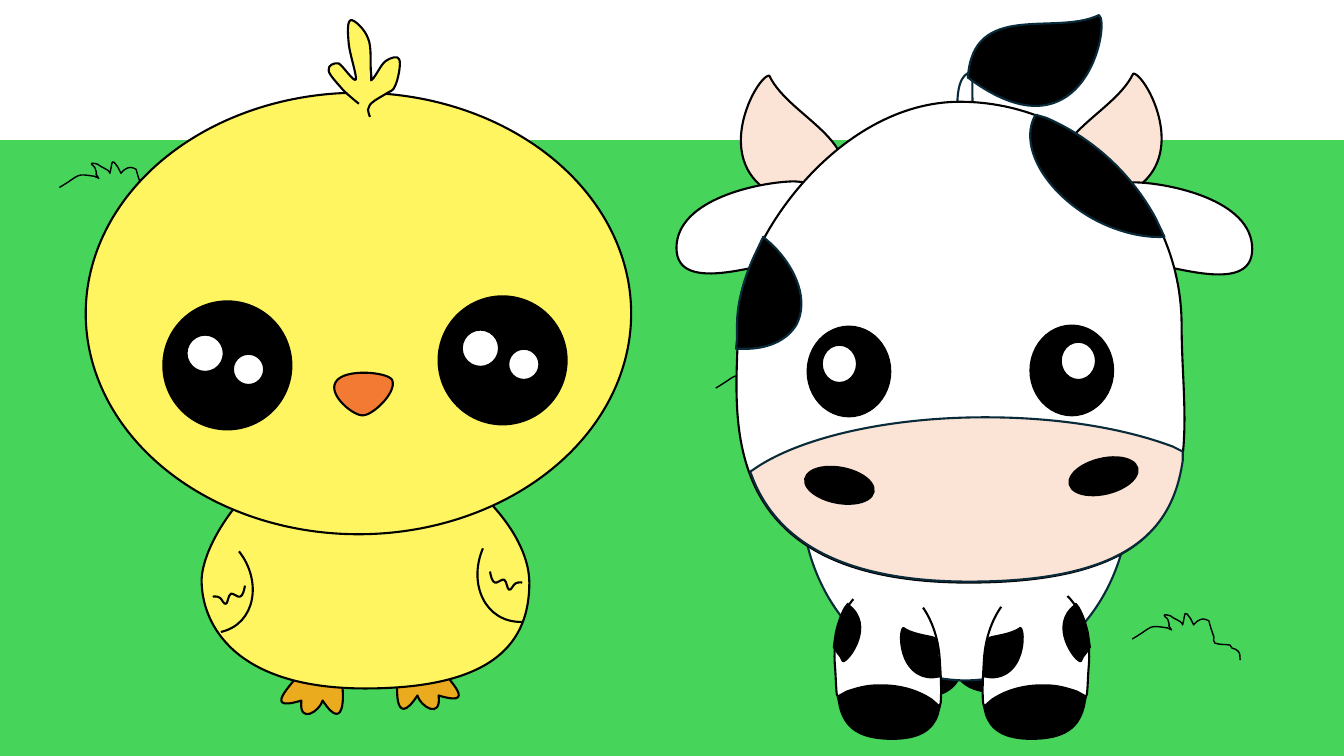
"""Draw a chick and a calf standing on a green meadow."""
from dataclasses import dataclass, replace
from typing import Optional, Union

from lxml import etree
from pptx import Presentation
from pptx.dml.color import RGBColor
from pptx.enum.shapes import MSO_SHAPE
from pptx.oxml.ns import qn
from pptx.util import Inches, Pt

OVAL, RECT = MSO_SHAPE.OVAL, MSO_SHAPE.RECTANGLE
BLACK = RGBColor(0x00, 0x00, 0x00)
WHITE = RGBColor(0xFF, 0xFF, 0xFF)
GRASS = RGBColor(0x47, 0xD4, 0x5A)
NAVY = RGBColor(0x09, 0x2A, 0x39)
PINK = RGBColor(0xFB, 0xE3, 0xD6)
YELLOW = RGBColor(0xFF, 0xF5, 0x61)
AMBER = RGBColor(0xEA, 0xAB, 0x1E)
ORANGE = RGBColor(0xF3, 0x7A, 0x33)
UNIT = Inches(0.01)
TAGS = {"M": "a:moveTo", "L": "a:lnTo", "C": "a:cubicBezTo"}
POINT_COUNT = {"M": 1, "L": 1, "C": 3}
STEPS = 24

Point = tuple[float, float]
Segment = tuple[str, list[Point]]


@dataclass(frozen=True)
class Outline:
    """A curved outline in inches, shifted by dx and dy or mirrored so that x becomes dx - x."""
    d: str
    fill: Optional[RGBColor] = None
    line: Optional[RGBColor] = BLACK
    weight: float = 1.5
    dx: float = 0
    dy: float = 0
    mirror: bool = False


@dataclass(frozen=True)
class Preset:
    """A preset shape in inches."""
    left: float
    top: float
    width: float
    height: float
    fill: RGBColor
    line: Optional[RGBColor] = BLACK
    weight: float = 1.5
    turn: float = 0
    kind: MSO_SHAPE = OVAL


Part = Union[Outline, Preset]


def mirrored(part: Outline, dx: float, dy: float = 0) -> Outline:
    """Return the outline mirrored left to right."""
    return replace(part, dx=dx, dy=dy, mirror=True)


def read_segments(part: Outline) -> list[Segment]:
    """Turn an outline into segments of points in hundredths of an inch."""
    segments, command, points = [], "", []
    for token in part.d.replace("Z", "").split():
        if token in TAGS:
            command = token
            continue
        x, y = map(float, token.split(","))
        x = part.dx - x if part.mirror else part.dx + x
        points.append((round(100 * x), round(100 * (y + part.dy))))
        if len(points) == POINT_COUNT[command]:
            segments.append((command, points))
            points = []
    return segments


def trace(segments: list[Segment]) -> list[Point]:
    """Sample points along the segments."""
    traced = []
    for command, points in segments:
        if command == "C":
            knots = [traced[-1], *points]
            for step in range(1, STEPS):
                t = step / STEPS
                weights = ((1 - t) ** 3, 3 * t * (1 - t) ** 2, 3 * t * t * (1 - t), t ** 3)
                traced.append(tuple(sum(w * k[axis] for w, k in zip(weights, knots)) for axis in (0, 1)))
        traced.append(points[-1])
    return traced


def add_outline(shapes, part: Outline):
    """Add a freeform with true curves."""
    segments = read_segments(part)
    closed = part.d.endswith("Z")
    start, *rest = trace(segments)
    builder = shapes.build_freeform(*start, scale=UNIT)
    builder.add_line_segments(rest, close=closed)
    shape = builder.convert_to_shape()
    left, top = round(shape.left / UNIT), round(shape.top / UNIT)
    geometry = shape.element.find(".//" + qn("a:path"))
    for child in list(geometry):
        geometry.remove(child)
    for command, points in segments:
        node = etree.SubElement(geometry, qn(TAGS[command]))
        for x, y in points:
            etree.SubElement(node, qn("a:pt"), x=str(x - left), y=str(y - top))
    if closed:
        etree.SubElement(geometry, qn("a:close"))
    return shape


def add_preset(shapes, part: Preset):
    """Add a preset shape."""
    shape = shapes.add_shape(part.kind, *map(Inches, (part.left, part.top, part.width, part.height)))
    shape.rotation = part.turn
    return shape


def draw(shapes, parts: list[Part]) -> None:
    """Draw the parts from back to front."""
    for part in parts:
        shape = add_outline(shapes, part) if isinstance(part, Outline) else add_preset(shapes, part)
        shape.shadow.inherit = False
        for paint, color in ((shape.fill, part.fill), (shape.line.fill, part.line)):
            if color is None:
                paint.background()
            else:
                paint.solid()
                paint.fore_color.rgb = color
        if part.line is not None:
            shape.line.width = Pt(part.weight)


TUFT = Outline(
    "M 11.23,6.34 C 11.45,6.21 11.38,6.2 11.58,6.23 11.59,6.24 11.61,6.24 11.62,6.25 11.55,6.14 11.63,6.28 11.58,6.14 "
    "11.57,6.13 11.54,6.11 11.55,6.1 11.56,6.09 11.59,6.11 11.61,6.11 11.63,6.13 11.68,6.15 11.71,6.17 "
    "11.72,6.18 11.73,6.19 11.73,6.2 11.76,6.08 11.74,6.04 11.81,6.14 11.82,6.16 11.83,6.18 11.84,6.2 "
    "11.85,6.19 11.86,6.17 11.88,6.16 11.93,6.13 11.95,6.14 11.99,6.16 12,6.18 12,6.21 12.01,6.23 "
    "12.02,6.26 12.03,6.29 12.04,6.32 12.04,6.34 12.03,6.37 12.05,6.38 12.1,6.4 12.15,6.39 12.2,6.4 "
    "12.21,6.41 12.21,6.42 12.22,6.43 12.24,6.44 12.27,6.44 12.28,6.46 12.3,6.48 12.3,6.52 12.3,6.55", weight=1)
MEADOW = [Preset(0, 1.39, 13.33, 6.11, GRASS, None, kind=RECT), TUFT,
          replace(TUFT, dx=-10.64, dy=-4.48), replace(TUFT, dx=-4.13, dy=-2.49)]

HOOF = Outline("M 8.69,6.8 C 8.59,6.8 8.49,6.83 8.4,6.86 L 8.31,6.91 8.33,7.01 C 8.38,7.21 8.51,7.33 8.85,7.33 "
               "9.12,7.33 9.25,7.24 9.3,7.09 L 9.32,7.01 9.24,6.94 C 9.09,6.84 8.9,6.79 8.69,6.8 Z", BLACK)
LEG = Outline("M 8.75,5.79 C 8.46,5.81 8.25,6.17 8.28,6.59 8.29,6.7 8.29,6.8 8.3,6.89 L 8.31,6.91 8.4,6.86 "
              "C 8.49,6.83 8.59,6.8 8.69,6.8 8.9,6.79 9.09,6.84 9.24,6.94 L 9.32,7.01 9.33,6.97 "
              "C 9.34,6.84 9.33,6.69 9.32,6.53 9.29,6.1 9.03,5.77 8.75,5.79 Z", WHITE)
LEG_SPOTS = [
    Outline("M 8.41,5.99 L 8.38,6.03 C 8.34,6.1 8.31,6.19 8.29,6.28 L 8.27,6.42 8.31,6.48 "
            "C 8.33,6.5 8.35,6.53 8.36,6.56 8.41,6.57 8.69,6.2 8.41,6 L 8.41,5.99 Z", BLACK),
    Outline("M 8.96,6.23 C 8.91,6.25 8.91,6.72 9.25,6.72 L 9.32,6.71 9.3,6.51 C 9.3,6.46 9.29,6.41 9.28,6.36 "
            "L 9.27,6.33 9.24,6.32 C 9.14,6.3 9.03,6.28 8.96,6.23 Z", BLACK)]
FRONT_LEG = [HOOF, LEG, *LEG_SPOTS]
HORN = Outline("M 8.26,2.06 C 6.81,2 7.49,0.74 7.63,0.75 7.84,1.19 8.7,1.42 8.26,2.06 Z", PINK)
EAR = Outline("M 6.71,2.46 C 6.71,1.97 7.54,1.81 7.85,1.8 8.17,1.79 8.61,2.07 8.61,2.4 "
              "8.61,2.73 8.24,2.56 7.93,2.57 7.61,2.58 6.71,2.95 6.71,2.46 Z", WHITE)
CALF = [
    Outline("M 9.17,2.02 C 9.79,1.93 9.27,0.77 9.65,0.71 9.59,1.66 10.04,1.99 9.07,2.14 "
            "L 8.58,2.14 9.17,2.02 Z", WHITE, NAVY),
    Outline("M 9.6,0.77 C 10.76,1.64 11.02,0.22 10.9,0.15 10.47,0.36 9.65,0 9.6,0.77 Z", BLACK, NAVY),
    *(replace(part, dx=0.23, dy=-0.41) for part in (HOOF, LEG)),
    *(mirrored(part, 18.76, -0.46) for part in (HOOF, LEG)),
    Preset(7.95, 3.1, 3.25, 3.65, WHITE, NAVY),
    *(mirrored(part, 19.08) for part in FRONT_LEG),
    *FRONT_LEG,
    Preset(8.36, 5.6, 0.87, 0.48, WHITE, None, turn=12.8),
    Preset(9.82, 5.57, 0.87, 0.48, WHITE, None, turn=347.2),
    mirrored(HORN, 18.87, -0.02), HORN, EAR, mirrored(EAR, 19.13, 0.01),
    Outline("M 7.32,3.23 C 7.31,2.43 8.3,1.01 9.52,1.01 10.73,1.01 11.72,2 11.72,3.23 "
            "11.72,4.45 12.16,5.79 9.57,5.78 6.98,5.76 7.32,4.02 7.32,3.23 Z", WHITE),
    Outline("M 9.77,4.14 C 10.5,4.14 11.15,4.25 11.63,4.43 L 11.73,4.48 11.73,4.57 C 11.63,5.26 11.19,5.78 9.57,5.77 "
            "8.28,5.76 7.71,5.32 7.48,4.78 L 7.44,4.68 7.47,4.66 C 7.91,4.35 8.78,4.14 9.77,4.14 Z", PINK, NAVY),
    *(Preset(x, y, 0.82, 0.89, BLACK) for x, y in ((10.22, 3.23), (8.01, 3.24))),
    *(Preset(x, y, 0.35, 0.38, WHITE) for x, y in ((8.15, 3.42), (10.52, 3.39))),
    *(Preset(x, y, 0.69, 0.35, BLACK, turn=turn) for x, y, turn in ((7.98, 4.64, 10.8), (10.6, 4.55, 346.5))),
    Outline("M 10.28,1.14 L 10.38,1.17 C 10.84,1.37 11.22,1.72 11.46,2.16 L 11.55,2.35 11.54,2.35 "
            "C 11.33,2.36 11.08,2.3 10.84,2.17 10.36,1.9 10.1,1.44 10.27,1.14 L 10.28,1.14 Z", BLACK, NAVY),
    Outline("M 7.57,2.35 L 7.65,2.42 C 7.91,2.67 8.02,2.99 7.9,3.22 7.81,3.37 7.64,3.45 7.43,3.46 L 7.3,3.46 7.31,3.36 "
            "C 7.31,3.31 7.31,3.26 7.31,3.22 7.31,3.02 7.37,2.78 7.48,2.54 L 7.57,2.35 Z", BLACK, NAVY)]

FOOT = Outline("M 3.99,6.47 L 4.36,6.47 4.36,6.6 C 4.33,6.64 4.81,7.04 4.35,6.9 4.38,7.14 4.17,7.01 4.14,6.9 "
               "3.9,7.27 3.92,6.76 3.97,6.64 3.95,6.57 4,6.49 3.99,6.47 Z", AMBER)
FEATHERS = Outline("M 4.86,5.67 C 4.87,5.72 4.88,5.77 4.91,5.78 4.93,5.79 4.98,5.74 5,5.75 5.03,5.77 5.03,5.85 5.05,5.85 "
                   "5.07,5.86 5.09,5.8 5.11,5.79 5.14,5.77 5.18,5.78 5.18,5.78")
CHICK = [
    FOOT, mirrored(FOOT, 7.34, 0.05),
    Outline("M 2,5.78 C 1.98,5.37 2.63,4.38 3.53,4.38 4.43,4.38 5.25,5.2 5.25,5.78 "
            "5.25,6.36 4.92,6.83 3.62,6.83 2.32,6.83 2.01,6.19 2,5.78 Z", YELLOW),
    Preset(0.85, 0.92, 5.41, 4.38, YELLOW),
    Outline("M 2.37,5.47 C 2.6,5.76 2.54,6.19 2.19,6.27"),
    FEATHERS, mirrored(FEATHERS, 7.29, 0.14),
    Outline("M 4.79,5.44 C 4.64,5.79 4.81,6.18 5.18,6.17"),
    Outline("M 3.56,1.03 C 3.51,0.99 3.45,0.94 3.4,0.89 3.35,0.83 3.26,0.74 3.26,0.7 3.25,0.65 3.31,0.62 3.36,0.63 "
            "3.4,0.65 3.51,0.82 3.53,0.79 3.54,0.75 3.47,0.54 3.46,0.44 3.45,0.34 3.44,0.21 3.48,0.2 "
            "3.51,0.19 3.62,0.29 3.65,0.38 3.69,0.46 3.67,0.65 3.68,0.72 3.69,0.79 3.67,0.81 3.69,0.79 "
            "3.72,0.77 3.78,0.64 3.82,0.61 3.87,0.57 3.95,0.55 3.96,0.59 3.98,0.63 3.95,0.79 3.92,0.85 "
            "3.9,0.91 3.87,0.9 3.83,0.93 3.8,0.95 3.72,0.99 3.69,1.02 3.66,1.04 3.66,1.07 3.65,1.09 "
            "3.65,1.12 3.67,1.16 3.67,1.16", YELLOW),
    Outline("M 3.33,3.79 C 3.41,3.65 3.85,3.69 3.89,3.77 3.94,3.89 3.7,4.12 3.6,4.12 3.51,4.13 3.25,3.92 3.33,3.79 Z", ORANGE),
    *(Preset(x + dx, y + dy, size, size, fill) for x, y in ((1.62, 2.99), (4.35, 2.94))
      for dx, dy, size, fill in ((0, 0, 1.27, BLACK), (0.23, 0.33, 0.37, WHITE), (0.69, 0.52, 0.31, WHITE)))]


def main() -> None:
    """Build and save the slide."""
    prs = Presentation()
    for name, value in {"slide_width": Inches(13.33), "slide_height": Inches(7.5)}.items():
        setattr(prs, name, value)
    s = prs.slides.add_slide(prs.slide_layouts[6])
    draw(s.shapes, MEADOW)
    for animal in (CALF, CHICK):
        draw(s.shapes.add_group_shape().shapes, animal)
    prs.save("out.pptx")


if __name__ == "__main__":
    main()
